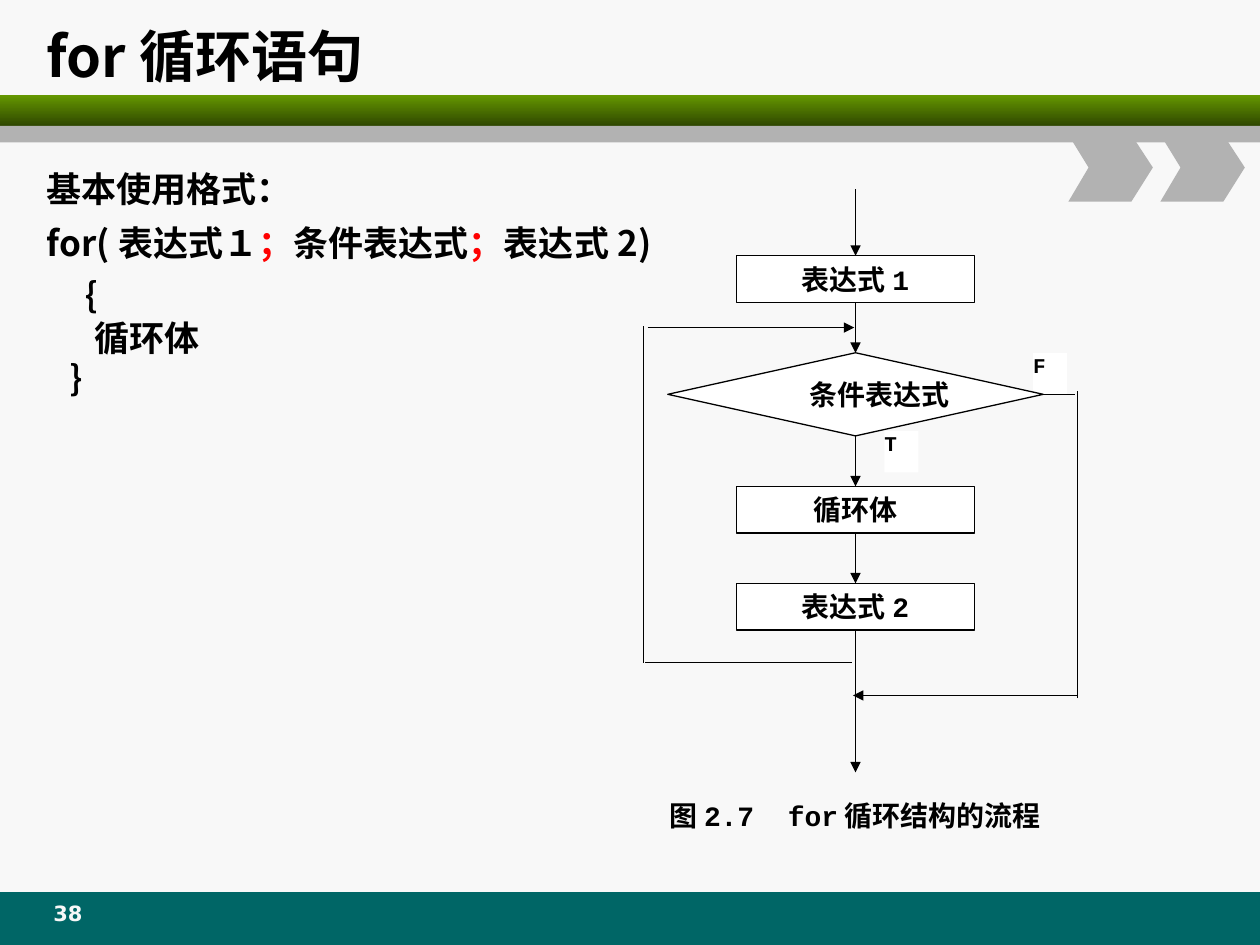
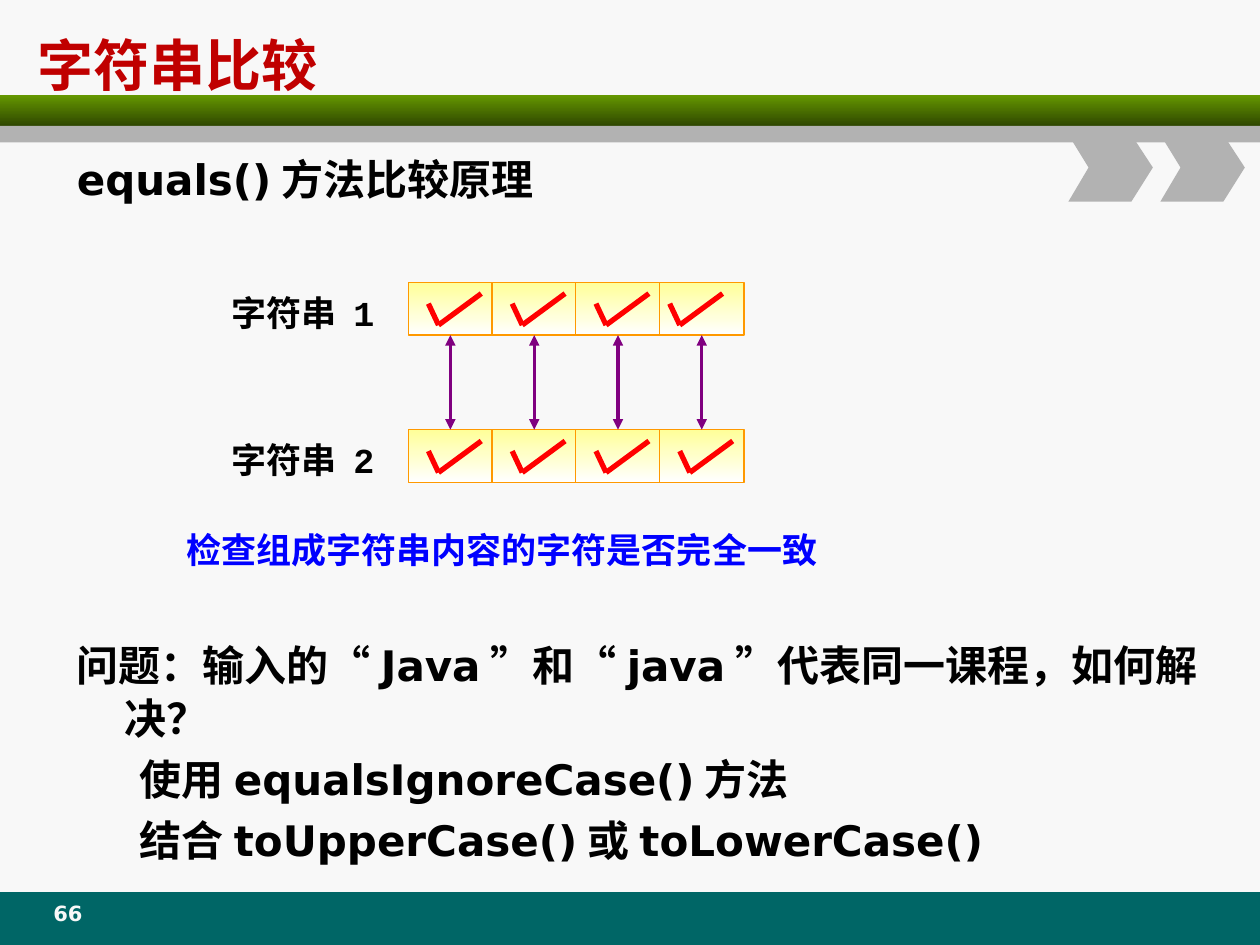
"""Build two lesson slides: the for loop and string comparison."""
from dataclasses import dataclass

from lxml import etree
from pptx import Presentation
from pptx import util as u
from pptx.dml.color import RGBColor
from pptx.enum import shapes, text
from pptx.oxml.ns import qn

INK = RGBColor(0x00, 0x00, 0x00)
WHITE = RGBColor(0xFF, 0xFF, 0xFF)
PAPER = RGBColor(0xF8, 0xF8, 0xF8)
TEAL = RGBColor(0x00, 0x66, 0x66)
GREEN = RGBColor(0x66, 0x99, 0x00)
MOSS = RGBColor(0x2F, 0x47, 0x00)
GREY = RGBColor(0xB2, 0xB2, 0xB2)
RED = RGBColor(0xFF, 0x00, 0x00)
BRICK = RGBColor(0xC0, 0x00, 0x00)
BLUE = RGBColor(0x00, 0x00, 0xFF)
PLUM = RGBColor(0x80, 0x00, 0x80)
CREAM = RGBColor(0xFF, 0xFF, 0x99)
AMBER = RGBColor(0xFF, 0x99, 0x00)

HAN = "Noto Sans CJK SC"
SANS = "DejaVu Sans"
MONO = "Courier New"

KIND = shapes.MSO_SHAPE
ALIGN = text.PP_ALIGN
MID = text.MSO_ANCHOR.MIDDLE
TOP = text.MSO_ANCHOR.TOP
SPINE = 6.79


@dataclass
class Area:
    """A place on the slide, in inches."""
    x: float
    y: float
    w: float
    h: float


@dataclass
class Style:
    """The look of a run."""
    size: float
    face: str
    color: RGBColor = INK


@dataclass
class Piece:
    """A run of words; gap is extra letter spacing in points."""
    words: str
    color: RGBColor | None = None
    gap: float = 0


@dataclass
class Para:
    """A paragraph of a body placeholder."""
    runs: list[Piece]
    pitch: float
    before: float = 0
    left: float = 0
    hang: float = 0
    level: int = 0


@dataclass
class Node:
    """A box of the flow chart."""
    words: str
    y: float
    w: float = 1.89
    h: float = 0.37
    kind: int = KIND.RECTANGLE
    align: int = ALIGN.CENTER


@dataclass
class Stroke:
    """A straight line between two points."""
    x1: float
    y1: float
    x2: float
    y2: float
    color: RGBColor = INK
    width: float = 0.75
    head: bool = False
    tail: bool = False


def place(shape, area: Area) -> None:
    """Move a shape to an area."""
    shape.left, shape.top = u.Inches(area.x), u.Inches(area.y)
    shape.width, shape.height = u.Inches(area.w), u.Inches(area.h)


def add_run(para, piece: Piece, style: Style) -> None:
    """Add one bold run."""
    run = para.add_run()
    run.text = piece.words
    font = run.font
    font.size, font.bold, font.name = u.Pt(style.size), True, style.face
    font.color.rgb = piece.color or style.color
    mark = run._r.get_or_add_rPr()
    etree.SubElement(mark, qn("a:ea")).set("typeface", HAN)
    if piece.gap:
        mark.set("spc", str(round(piece.gap * 100)))


def set_frame(frame, anchor: int, wide: float = 0.1, tall: float = 0.05) -> None:
    """Set wrapping, insets and anchor."""
    frame.word_wrap, frame.auto_size = True, text.MSO_AUTO_SIZE.NONE
    frame.vertical_anchor = anchor
    frame.margin_left = frame.margin_right = u.Inches(wide)
    frame.margin_top = frame.margin_bottom = u.Inches(tall)


def write(frame, runs: list[Piece], style: Style, align: int) -> None:
    """Fill a frame with a single paragraph."""
    para = frame.paragraphs[0]
    para.alignment = align
    for piece in runs:
        add_run(para, piece, style)


def add_label(slide, area: Area, runs: list[Piece], style: Style,
              align: int = ALIGN.LEFT, anchor: int = MID, pad: bool = True):
    """Add a text box."""
    box = slide.shapes.add_textbox(0, 0, 0, 0)
    place(box, area)
    set_frame(box.text_frame, anchor, *((0.1, 0.05) if pad else (0, 0)))
    write(box.text_frame, runs, style, align)
    return box


def paint(shape, fill: RGBColor, fade: RGBColor | None = None,
          line: RGBColor | None = None) -> None:
    """Set fill, outline and shadow."""
    shape.shadow.inherit = False
    if fade is None:
        shape.fill.solid()
        shape.fill.fore_color.rgb = fill
    else:
        shape.fill.gradient()
        shape.fill.gradient_angle = 270
        for stop, color in zip(shape.fill.gradient_stops, (fill, fade)):
            stop.color.rgb = color
    if line is None:
        shape.line.fill.background()
    else:
        shape.line.color.rgb, shape.line.width = line, u.Pt(0.75)


def add_box(slide, area: Area, fill: RGBColor, fade: RGBColor | None = None,
            line: RGBColor | None = None, kind: int = KIND.RECTANGLE):
    """Add a preset shape."""
    box = slide.shapes.add_shape(kind, 0, 0, 0, 0)
    place(box, area)
    paint(box, fill, fade, line)
    return box


def draw(slide, stroke: Stroke, start=None, end=None) -> None:
    """Draw a line, joined to (shape, side) pairs where given."""
    line = slide.shapes.add_connector(
        shapes.MSO_CONNECTOR.STRAIGHT, u.Inches(stroke.x1), u.Inches(stroke.y1),
        u.Inches(stroke.x2), u.Inches(stroke.y2))
    line.line.color.rgb, line.line.width = stroke.color, u.Pt(stroke.width)
    if start:
        line.begin_connect(*start)
    if end:
        line.end_connect(*end)
    edge = line.line._get_or_add_ln()
    for tag, used in (("a:headEnd", stroke.head), ("a:tailEnd", stroke.tail)):
        if used:
            etree.SubElement(edge, qn(tag)).set("type", "triangle")
    etree.SubElement(line._element.spPr, qn("a:effectLst"))


def add_page(deck, title: str, area: Area, style: Style, page: str):
    """Add a slide with bands, title and page number."""
    slide = deck.slides.add_slide(deck.slide_layouts[1])
    slide.background.fill.solid()
    slide.background.fill.fore_color.rgb = PAPER
    add_box(slide, Area(0, 7.08, 10, 0.42), TEAL)
    add_box(slide, Area(0, 0.75, 10, 0.25), GREEN, MOSS)
    add_box(slide, Area(0, 1, 10, 0.13), GREY)
    for x in (8.48, 9.21):
        pen = slide.shapes.build_freeform(u.Inches(x), u.Inches(1.07))
        points = ((0.5, 1.07), (0.67, 1.33), (0.5, 1.6), (0, 1.6), (0.16, 1.33))
        pen.add_line_segments([(u.Inches(x + dx), u.Inches(y)) for dx, y in points])
        paint(pen.convert_to_shape(), GREY)
    for holder in list(slide.placeholders):
        slide.shapes._spTree.append(holder._element)
    head = slide.shapes.title
    place(head, area)
    set_frame(head.text_frame, MID)
    write(head.text_frame, [Piece(title)], style, ALIGN.LEFT)
    add_label(slide, Area(0.25, 7.08, 0.58, 0.33), [Piece(page)],
              Style(12, SANS, PAPER), ALIGN.CENTER)
    return slide


def fill_body(slide, area: Area, paras: list[Para], style: Style) -> None:
    """Fill the body placeholder with plain paragraphs."""
    body = slide.placeholders[1]
    place(body, area)
    frame = body.text_frame
    set_frame(frame, TOP)
    for i, item in enumerate(paras):
        para = frame.add_paragraph() if i else frame.paragraphs[0]
        mark = para._p.get_or_add_pPr()
        mark.set("marL", str(u.Inches(item.left)))
        mark.set("indent", str(u.Inches(-item.hang)))
        etree.SubElement(mark, qn("a:buNone"))
        para.level = item.level
        para.alignment = ALIGN.LEFT
        para.line_spacing = u.Pt(item.pitch)
        para.space_before = u.Pt(item.before)
        for piece in item.runs:
            add_run(para, piece, style)


def add_loop(deck) -> None:
    """Build the for loop slide."""
    slide = add_page(deck, "for循环语句", Area(0.27, 0.12, 9, 0.64),
                     Style(32, HAN), "38")
    fill_body(slide, Area(0.27, 1.18, 7.8, 2.07), [
        Para([Piece("基本使用格式：")], 31),
        Para([Piece("for(表达式１"), Piece("；", RED), Piece("条件表达式"),
              Piece("；", RED), Piece("表达式2)")], 31),
        Para([Piece("  ｛")], 31),
        Para([Piece("      循环体")], 23.5),
        Para([Piece("   ｝")], 23.5),
    ], Style(20, HAN))
    for mark, x, y in (("F", 8.2, 2.8), ("T", 7.02, 3.42)):
        tag = add_box(slide, Area(x, y, 0.27, 0.33), WHITE)
        set_frame(tag.text_frame, TOP, 0, 0)
        write(tag.text_frame, [Piece(mark)], Style(12, MONO), ALIGN.JUSTIFY)
    code = Style(16, MONO)
    add_label(slide, Area(4.66, 6.34, 4.25, 0.44),
              [Piece("图2.7"), Piece(" ", gap=9.6), Piece("for循环结构的流程")],
              code, ALIGN.CENTER, TOP, False)
    nodes = (Node("表达式1", 2.03),
             Node("条件表达式", 2.8, 2.98, 0.66, KIND.FLOWCHART_DECISION, ALIGN.RIGHT),
             Node("循环体", 3.86), Node("表达式2", 4.63))
    boxes = []
    for node in nodes:
        area = Area(SPINE - node.w / 2, node.y, node.w, node.h)
        box = add_box(slide, area, WHITE, line=INK, kind=node.kind)
        set_frame(box.text_frame, MID, 0, 0)
        write(box.text_frame, [Piece(node.words)], code, node.align)
        boxes.append(box)
    first, test, _, last = boxes
    draw(slide, Stroke(SPINE, 1.5, SPINE, 2.03, tail=True), end=(first, 0))
    for above, below in zip(boxes, boxes[1:]):
        draw(slide, Stroke(SPINE, 2, SPINE, 3, tail=True), (above, 2), (below, 0))
    draw(slide, Stroke(8.28, 3.13, 8.53, 3.13), start=(test, 3))
    draw(slide, Stroke(SPINE, 5, SPINE, 5.63), start=(last, 2))
    for stroke in (Stroke(SPINE, 5.52, SPINE, 6.13, tail=True),
                   Stroke(6.76, 5.26, 5.12, 5.26),
                   Stroke(5.11, 5.26, 5.11, 2.59),
                   Stroke(5.14, 2.6, 6.78, 2.6, tail=True),
                   Stroke(8.55, 5.54, 8.55, 3.1),
                   Stroke(8.55, 5.52, 6.77, 5.52, tail=True)):
        draw(slide, stroke)


def add_match(deck) -> None:
    """Build the string comparison slide."""
    slide = add_page(deck, "字符串比较", Area(0.2, 0.17, 9.55, 0.67),
                     Style(32, SANS, BRICK), "66")
    fill_body(slide, Area(0.51, 1.15, 9.25, 5.28), [
        Para([Piece("equals()方法比较原理")], 30, 0, 0.38, 0.38),
        Para([Piece("问题：输入的“Java”和“java”代表同一课程，如何解决？")],
             30, 248, 0.38, 0.38),
        Para([Piece("使用equalsIgnoreCase()方法")], 30, 5, 0.81, 0.31, 1),
        Para([Piece("结合toUpperCase()或toLowerCase()")], 30, 5, 0.81, 0.31, 1),
    ], Style(24, SANS))
    rows = []
    for name, y, shift in (("字符串 1", 2.24, 0.08), ("字符串 2", 3.41, 0.16)):
        add_label(slide, Area(0.9, y + 0.02, 2.17, 0.44), [Piece(name)],
                  Style(20, MONO), ALIGN.RIGHT)
        lefts = [3.24 + 0.665 * i for i in range(4)]
        rows.append([add_box(slide, Area(x, y, 0.67, 0.42), CREAM, WHITE, AMBER)
                     for x in lefts])
        for x, dx in zip(lefts, (0.16, 0.16, 0.16, shift)):
            a, b = x + dx, y + 0.17
            draw(slide, Stroke(a, b, a + 0.08, b + 0.17, RED, 3))
            draw(slide, Stroke(a + 0.08, b + 0.17, a + 0.42, b - 0.08, RED, 3))
    for above, below in zip(*rows):
        draw(slide, Stroke(3, 2.66, 3, 3.41, PLUM, 1.75, True, True),
             (above, 2), (below, 0))
    add_label(slide, Area(1.38, 4.14, 7.27, 0.44),
              [Piece("检查组成字符串内容的字符是否完全一致")], Style(20, HAN, BLUE))


def main() -> None:
    """Build and save the deck."""
    deck = Presentation()
    deck.slide_width, deck.slide_height = u.Inches(10), u.Inches(7.5)
    add_loop(deck)
    add_match(deck)
    deck.save("out.pptx")


if __name__ == "__main__":
    main()
